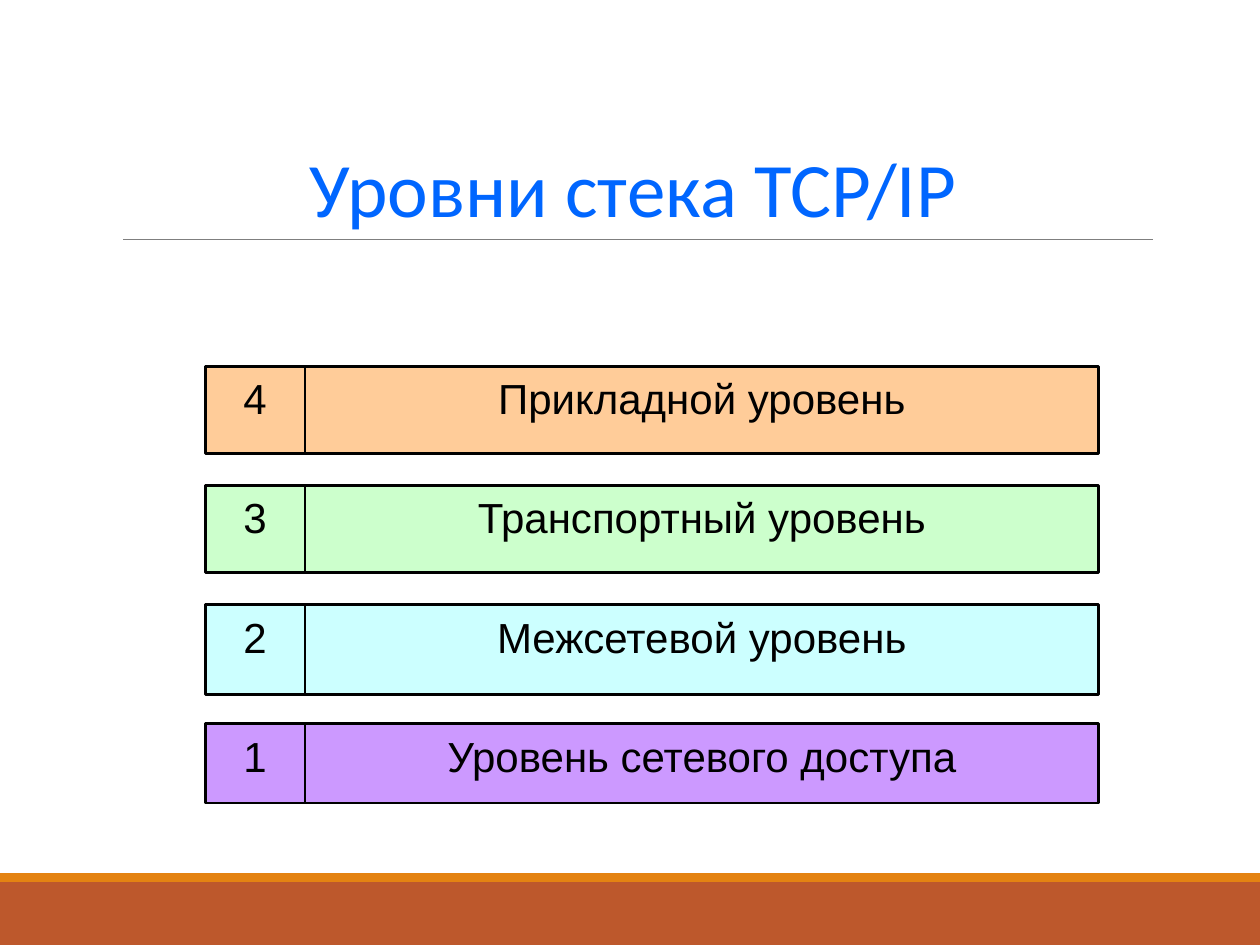
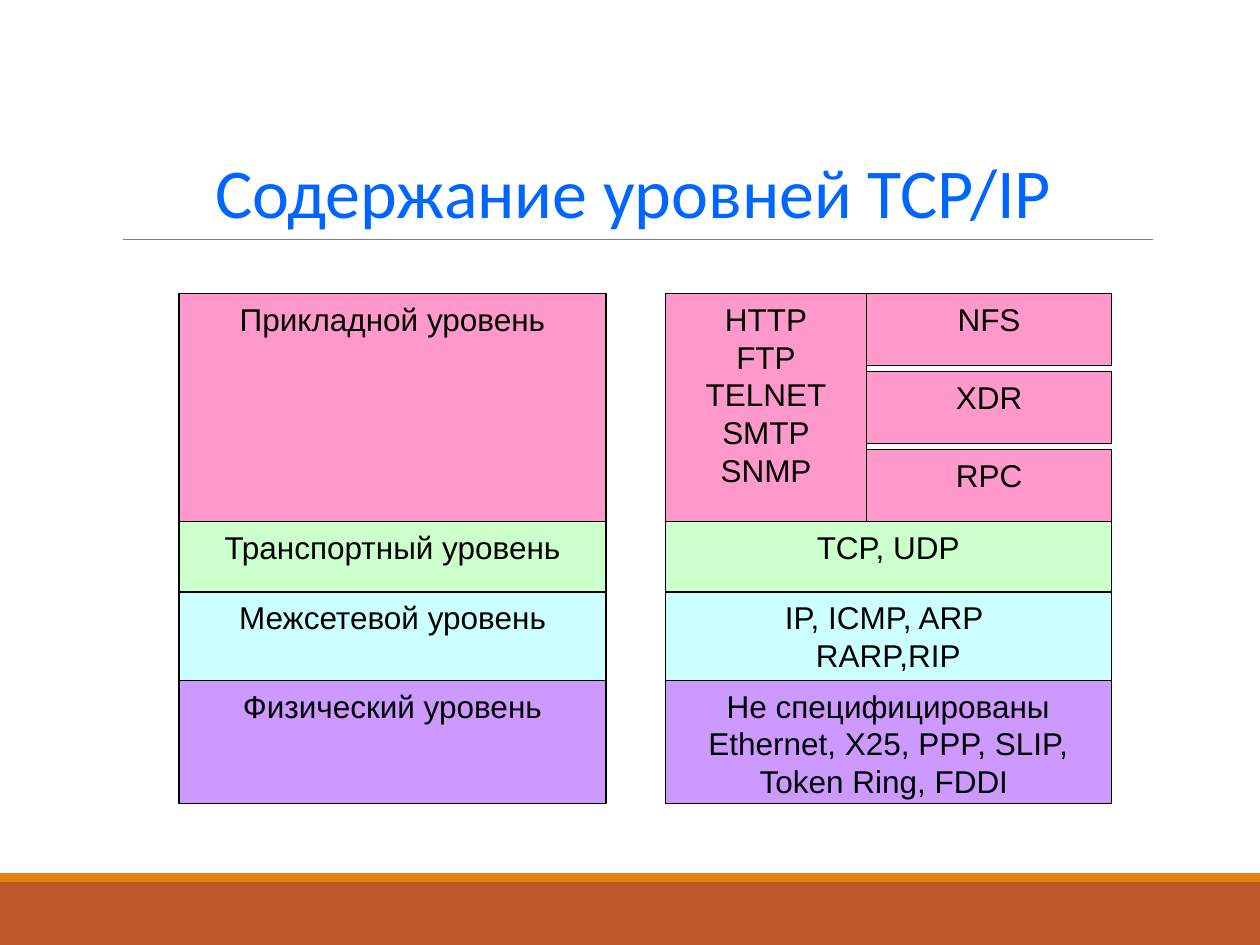
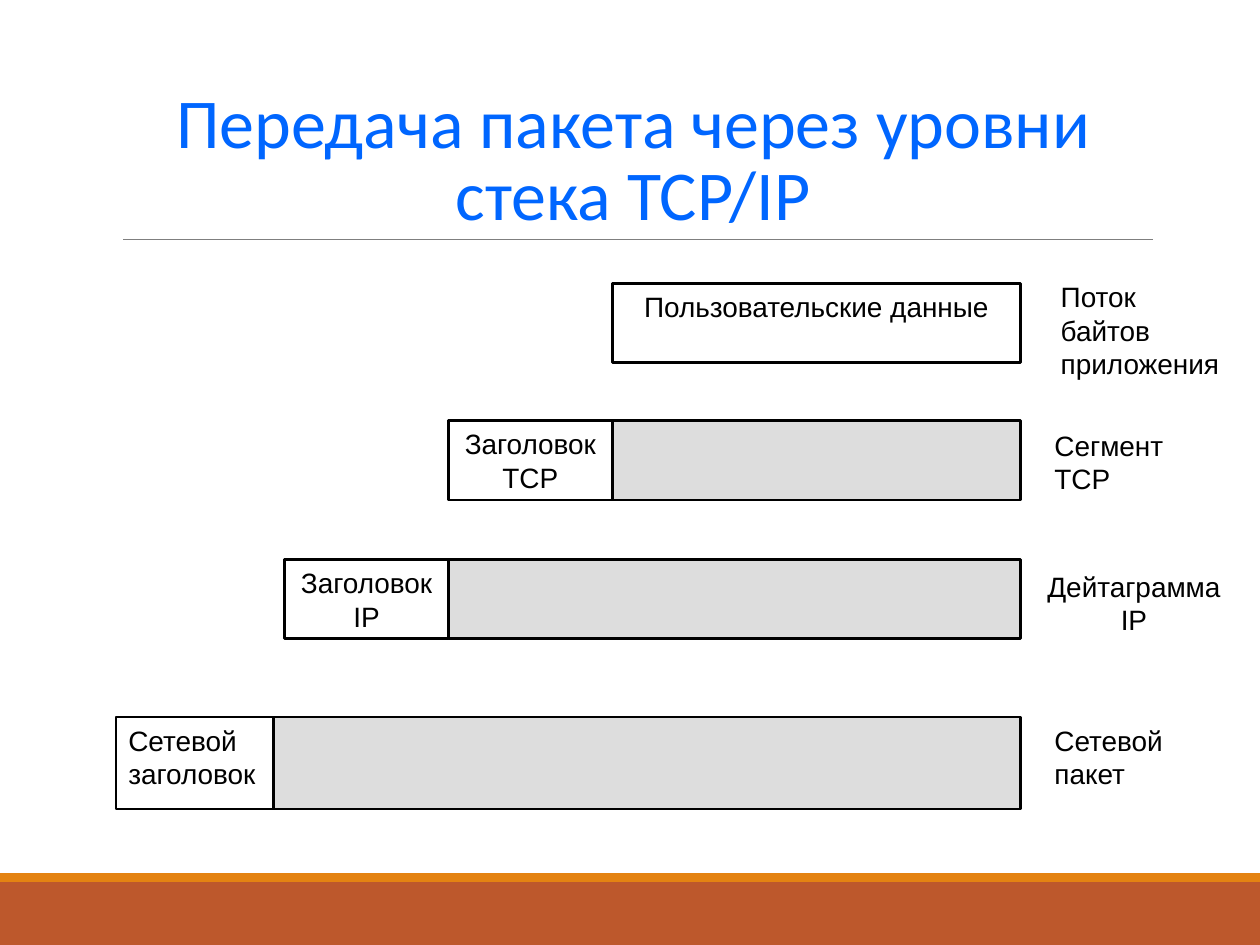
import pptx
import pptx.dml.color
import pptx.enum.shapes
import pptx.enum.text
import pptx.oxml.ns
import pptx.util
from lxml import etree

Inches = pptx.util.Inches
Pt = pptx.util.Pt
ALIGN = pptx.enum.text.PP_ALIGN
ANCHOR = pptx.enum.text.MSO_ANCHOR

COLORS = {
    "title": "0066FF",
    "rule": "7F7F7F",
    "band": "BD582C",
    "stripe": "E48312",
    "text": "000000",
    "white": "FFFFFF",
    "payload": "DDDDDD",
    "orange": "FFCC99",
    "pink": "FF99CC",
    "green": "CCFFCC",
    "cyan": "CCFFFF",
    "violet": "CC99FF",
}


def rgb(name):
    return pptx.dml.color.RGBColor.from_string(COLORS[name])


def write(sp, text, size, align=ALIGN.CENTER, font="Arial", color="text",
          anchor=ANCHOR.TOP, spacing=None):
    """Fill a shape with text, one paragraph per line."""
    tf = sp.text_frame
    tf.word_wrap = True
    tf.vertical_anchor = anchor
    tf.text = text
    for p in tf.paragraphs:
        p.alignment = align
        p.line_spacing = spacing
        p.font.size = Pt(size)
        p.font.name = font
        p.font.color.rgb = rgb(color)


def add_rect(s, x, y, w, h, fill, line=None):
    sp = s.shapes.add_shape(pptx.enum.shapes.MSO_SHAPE.RECTANGLE,
                            Inches(x), Inches(y), Inches(w), Inches(h))
    sp.shadow.inherit = False
    sp.fill.solid()
    sp.fill.fore_color.rgb = rgb(fill)
    if line:
        sp.line.color.rgb = rgb("text")
        sp.line.width = Pt(line)
    else:
        sp.line.fill.background()
    return sp


def add_text(s, x, y, w, h, text, size, **style):
    sp = s.shapes.add_textbox(Inches(x), Inches(y), Inches(w), Inches(h))
    write(sp, text, size, **style)


def new_slide(prs, title, size=40, box=(0.9, 0.31, 8.25, 1.59)):
    """Add a slide with the shared bands, rule and title."""
    s = prs.slides.add_slide(prs.slide_layouts[6])
    add_rect(s, 0, 7, 10, 0.5, "band")
    add_rect(s, 0, 6.93, 10, 0.07, "stripe")
    rule = s.shapes.add_connector(pptx.enum.shapes.MSO_CONNECTOR.STRAIGHT,
                                  Inches(0.98), Inches(1.9), Inches(9.15), Inches(1.9))
    rule.line.color.rgb = rgb("rule")
    rule.line.width = Pt(0.5)
    etree.SubElement(rule._element.spPr, pptx.oxml.ns.qn("a:effectLst"))
    add_text(s, *box, title, size, font="Calibri", color="title",
             anchor=ANCHOR.BOTTOM, spacing=0.85)
    return s


def numbered_levels(s, x, y, w, levels):
    """Stack numbered bars, counting down to 1."""
    number_w, step = 0.79, 0.945
    for i, (text, fill, h) in enumerate(levels):
        top = y + i * step
        write(add_rect(s, x, top, number_w, h, fill, 1.5), str(len(levels) - i), 24)
        write(add_rect(s, x + number_w, top, w - number_w, h, fill, 1.5), text, 24)


def level_column(s, x, y, w, rows):
    """Stack touching cells given as (text, fill, height)."""
    for text, fill, h in rows:
        write(add_rect(s, x, y, w, h, fill, 0.75), text, 18)
        y += h


def application_protocols(s, x, y, w, h):
    """Split the application level into a list and three separate services."""
    list_w, service_h = 1.6, 0.57
    services = ["NFS", "XDR", "RPC"]
    step = (h - service_h) / (len(services) - 1)
    write(add_rect(s, x, y, list_w, h, "pink", 0.75),
          "HTTP\nFTP\nTELNET\nSMTP\nSNMP", 18)
    for i, name in enumerate(services):
        cell = add_rect(s, x + list_w, y + i * step, w - list_w, service_h, "pink", 0.75)
        write(cell, name, 18)


def packet(s, x, y, right, h, header, header_w, align=ALIGN.CENTER):
    """Draw a header followed by its grey payload, which ends at right."""
    write(add_rect(s, x, y, header_w, h, "white", 1.5), header, 16, align)
    add_rect(s, x + header_w, y, right - x - header_w, h, "payload", 1.5)


def levels_slide(prs):
    s = new_slide(prs, "Уровни стека TCP/IP", 44)
    numbered_levels(s, 1.63, 2.91, 7.09, [
        ("Прикладной уровень", "orange", 0.69),
        ("Транспортный уровень", "green", 0.69),
        ("Межсетевой уровень", "cyan", 0.71),
        ("Уровень сетевого доступа", "violet", 0.63),
    ])


def contents_slide(prs):
    s = new_slide(prs, "Содержание уровней TCP/IP")
    top, app_h = 2.33, 1.81
    level_column(s, 1.42, top, 3.39, [
        ("Прикладной уровень", "pink", app_h),
        ("Транспортный уровень", "green", 0.56),
        ("Межсетевой уровень", "cyan", 0.7),
        ("Физический уровень", "violet", 0.98),
    ])
    application_protocols(s, 5.28, top, 3.54, app_h)
    level_column(s, 5.28, top + app_h, 3.54, [
        ("TCP, UDP", "green", 0.56),
        ("IP, ICMP, ARP \nRARP,RIP", "cyan", 0.7),
        ("Не специфицированы\nEthernet, X25, PPP, SLIP, Token Ring, FDDI ", "violet", 0.98),
    ])


def packets_slide(prs):
    s = new_slide(prs, "Передача пакета через уровни стека TCP/IP",
                  box=(0.69, 0.49, 8.67, 1.42))
    right, header_w, h = 8.1, 1.3, 0.63
    data_x = 4.86
    packet(s, 0.92, 5.69, right, 0.73, "Сетевой заголовок", 1.25, ALIGN.LEFT)
    packet(s, data_x - 2 * header_w, 4.44, right, h, "Заголовок IP", header_w)
    packet(s, data_x - header_w, 3.34, right, h, "Заголовок TCP", header_w)
    write(add_rect(s, data_x, 2.25, right - data_x, h, "white", 1.5),
          "Пользовательские данные", 16)
    for x, y, w, text, align in [
        (8.32, 2.17, 1.49, "Поток байтов приложения", ALIGN.LEFT),
        (8.27, 3.35, 1.49, "Сегмент TCP", ALIGN.LEFT),
        (8.17, 4.47, 1.66, "Дейтаграмма IP", ALIGN.CENTER),
        (8.27, 5.69, 1.49, "Сетевой пакет", ALIGN.LEFT),
    ]:
        add_text(s, x, y, w, h, text, 16, align=align)


def main():
    prs = pptx.Presentation()
    prs.slide_width = Inches(10)
    prs.slide_height = Inches(7.5)
    levels_slide(prs)
    contents_slide(prs)
    packets_slide(prs)
    prs.save("out.pptx")


if __name__ == "__main__":
    main()
